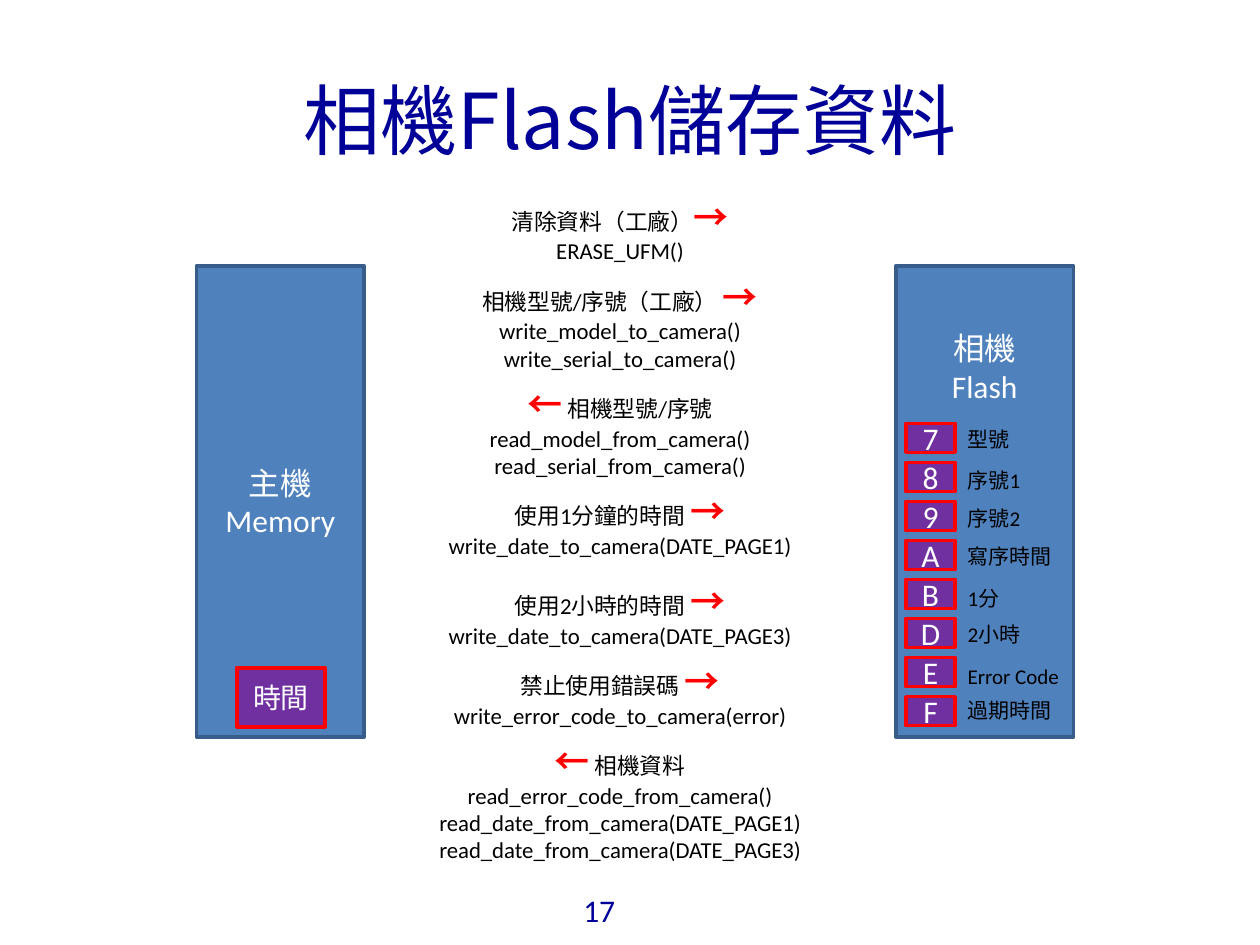
import pptx
import pptx.dml.color
import pptx.enum.shapes
import pptx.enum.text
import pptx.util

Pt = pptx.util.Pt
ANCHOR = pptx.enum.text.MSO_ANCHOR
ALIGN = pptx.enum.text.PP_ALIGN

NAVY, BLUE, STEEL = "000099", "4F81BD", "385D8A"
PURPLE, RED, WHITE, BLACK = "7030A0", "FF0000", "FFFFFF", "000000"

# Space before, heading runs, functions called
STEPS = [
    (0, ["清除資料（工廠）", "→"], ["ERASE_UFM()"]),
    (6, ["相機型號/序號（工廠） ", "→"],
     ["write_model_to_camera()", "write_serial_to_camera()"]),
    (6, ["←", " 相機型號/序號"],
     ["read_model_from_camera()", "read_serial_from_camera()"]),
    (6, ["使用1分鐘的時間 ", "→"], ["write_date_to_camera(DATE_PAGE1)"]),
    (12, ["使用2小時的時間 ", "→"], ["write_date_to_camera(DATE_PAGE3)"]),
    (6, ["禁止使用錯誤碼 ", "→"], ["write_error_code_to_camera(error)"]),
    (6, ["←", " 相機資料"],
     ["read_error_code_from_camera()", "read_date_from_camera(DATE_PAGE1)",
      "read_date_from_camera(DATE_PAGE3)"]),
]

# Page tag, label, space before the label
FLASH_PAGES = [
    ("7", "型號", 0), ("8", "序號1", 8.5), ("9", "序號2", 7.3), ("A", "寫序時間", 7.3),
    ("B", "1分", 9.8), ("D", "2小時", 6.1), ("E", "Error Code", 9.8), ("F", "過期時間", 4.9),
]
TAG_TOP, TAG_PITCH = 241.9, 22.32


def color(value):
    return pptx.dml.color.RGBColor.from_string(value)


class SlideBuilder:
    font_name = "Calibri"

    def __init__(self, slide):
        self.slide = slide

    def style(self, font, size, text_color, name=None, bold=False):
        font.name = name or self.font_name
        font.size = Pt(size)
        font.bold = bold
        font.color.rgb = color(text_color)

    def add_lines(self, frame, lines, size, text_color, align=ALIGN.CENTER, name=None, gaps=None):
        """Put one paragraph per line; gaps holds the space before each."""
        for index, line in enumerate(lines):
            paragraph = frame.paragraphs[0] if index == 0 else frame.add_paragraph()
            paragraph.text = line
            paragraph.alignment = align
            self.style(paragraph.font, size, text_color, name)
            if gaps:
                paragraph.space_before = Pt(gaps[index])

    def text_box(self, left, top, width, height, anchor=ANCHOR.TOP):
        frame = self.slide.shapes.add_textbox(Pt(left), Pt(top), Pt(width), Pt(height)).text_frame
        frame.word_wrap = True
        frame.vertical_anchor = anchor
        return frame

    def box(self, left, top, width, height, lines, fill, line, size=18):
        shape = self.slide.shapes.add_shape(
            pptx.enum.shapes.MSO_SHAPE.RECTANGLE, Pt(left), Pt(top), Pt(width), Pt(height))
        shape.shadow.inherit = False
        shape.fill.solid()
        shape.fill.fore_color.rgb = color(fill)
        shape.line.color.rgb = color(line)
        shape.line.width = Pt(2)
        shape.text_frame.vertical_anchor = ANCHOR.MIDDLE
        self.add_lines(shape.text_frame, lines, size, WHITE)
        return shape

    def steps(self, frame, steps):
        paragraph = frame.paragraphs[0]
        for gap, heading, calls in steps:
            if gap:
                paragraph = frame.add_paragraph()
            paragraph.alignment = ALIGN.CENTER
            paragraph.space_before = Pt(gap)
            for text in heading:
                run = paragraph.add_run()
                run.text = text
                if text in "←→":
                    self.style(run.font, 20, RED, bold=True)
                else:
                    self.style(run.font, 13, BLACK)
            for call in calls:
                paragraph = frame.add_paragraph()
                paragraph.text = call
                paragraph.alignment = ALIGN.CENTER
                self.style(paragraph.font, 13, BLACK)


def main():
    presentation = pptx.Presentation()
    presentation.slide_width, presentation.slide_height = Pt(720), Pt(540)
    builder = SlideBuilder(presentation.slides.add_slide(presentation.slide_layouts[6]))

    title = builder.text_box(36, 28.8, 648, 77.8, ANCHOR.MIDDLE)
    builder.add_lines(title, ["相機Flash儲存資料"], 44, NAVY, name="Noto Sans CJK SC")
    page_number = builder.text_box(326.2, 505.4, 39.6, 29.5)
    builder.add_lines(page_number, ["17"], 18, NAVY, ALIGN.LEFT)

    builder.box(112.3, 151.9, 95.8, 269.3, ["主機", "Memory"], BLUE, STEEL)
    builder.box(135.4, 381.6, 50.4, 33.8, ["時間"], PURPLE, RED, size=16)

    flash = builder.box(511.9, 151.9, 101.5, 269.3, ["相機", "Flash"], BLUE, STEEL)
    flash.text_frame.vertical_anchor = ANCHOR.TOP
    flash.text_frame.margin_top = Pt(36)

    builder.steps(builder.text_box(230.4, 108, 247.7, 388.8), STEPS)

    tags, labels, gaps = zip(*FLASH_PAGES)
    for index, tag in enumerate(tags):
        builder.box(517.7, TAG_TOP + index * TAG_PITCH, 28.1, 16.6, [tag], PURPLE, RED)
    label_box = builder.text_box(545.8, 240.5, 73.4, 175.7)
    builder.add_lines(label_box, labels, 12, BLACK, ALIGN.LEFT, gaps=gaps)

    presentation.save("out.pptx")


if __name__ == "__main__":
    main()
